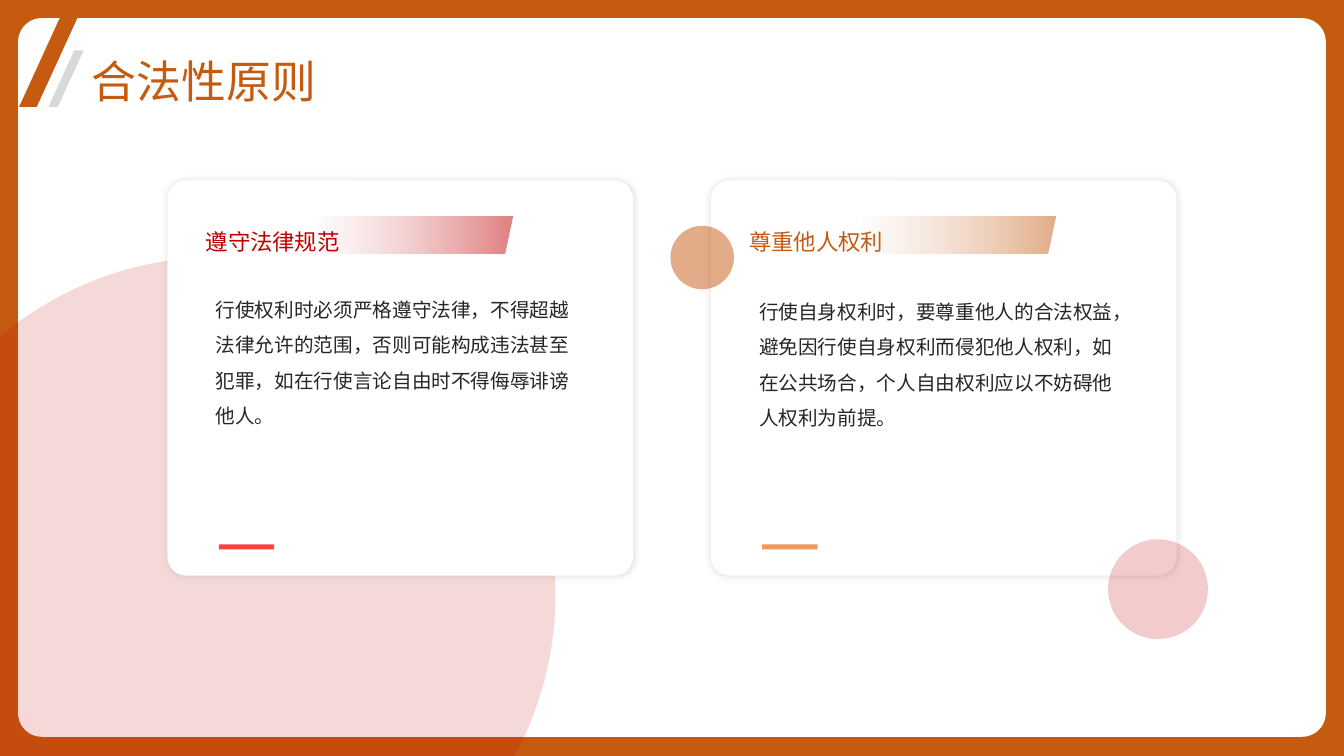
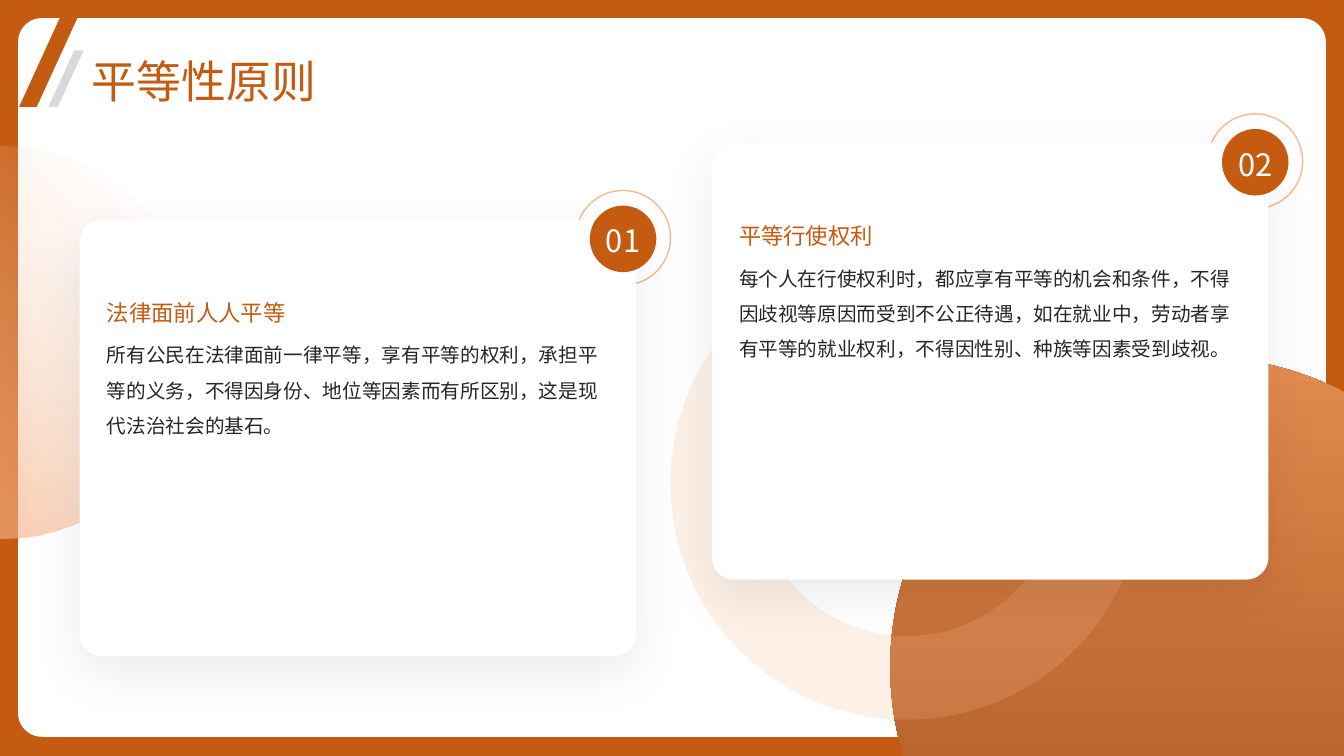
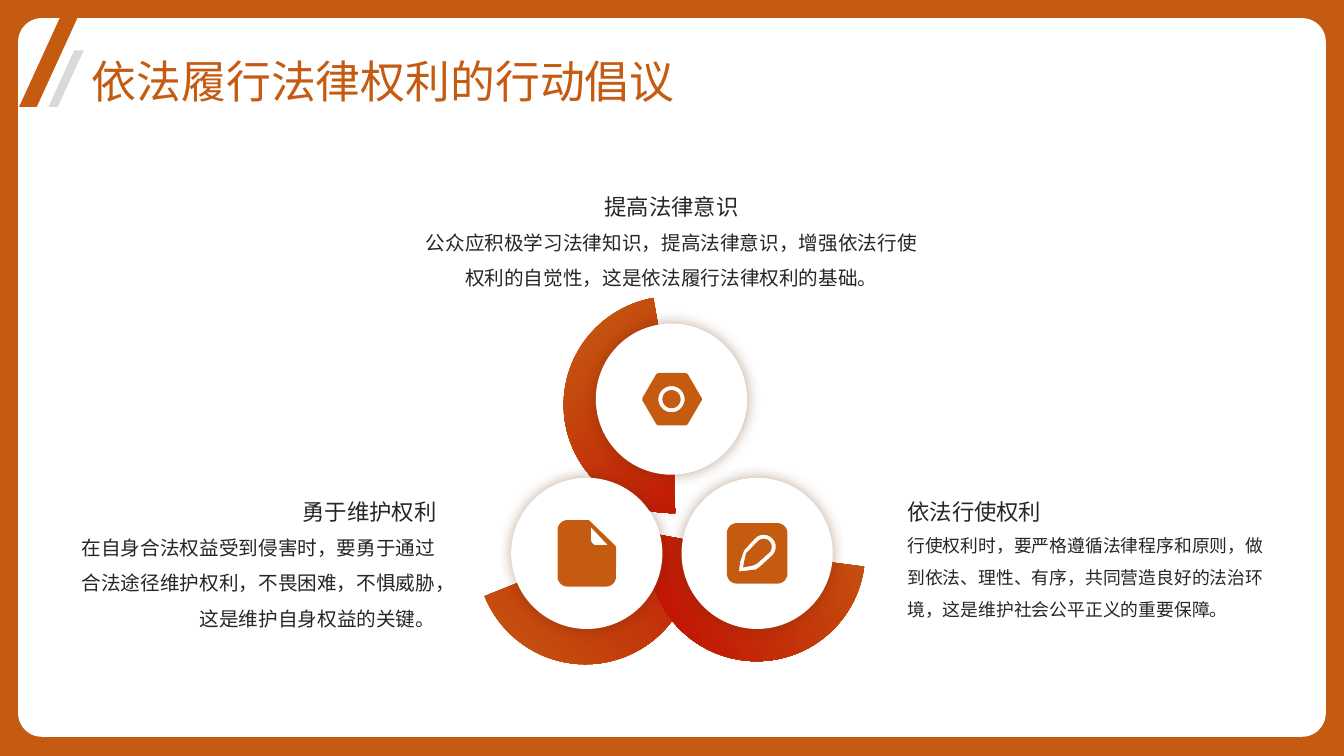
from dataclasses import dataclass
from math import cos, radians, sin

from lxml import etree
from pptx import Presentation
from pptx.dml.color import RGBColor
from pptx.enum import shapes, text
from pptx.oxml.ns import qn
from pptx.util import Inches, Pt

KIND = shapes.MSO_SHAPE
ALIGN = text.PP_ALIGN
ANCHOR = text.MSO_ANCHOR


@dataclass(frozen=True)
class Theme:
    font: str = "Noto Sans CJK SC"
    accent: str = "C55A11"
    red: str = "C00000"
    bright_red: str = "FF4040"
    orange: str = "F1985C"
    peach: str = "F6BA92"
    pale: str = "FADDC9"
    brown: str = "94430D"
    white: str = "FFFFFF"
    grey: str = "D9D9D9"
    ink: str = "262626"
    title_size: float = 32
    number_size: float = 22
    heading_size: float = 16
    body_size: float = 14
    small_size: float = 12.7


THEME = Theme()
SOFT_SHADOW = ("A6A6A6", 40, 5, 0, 0)
DROP_SHADOW = ("000000", 8, 37, 12, 90)
DISC_SHADOW = ("622D08", 40, 10, 0, 0)


def add_color(parent, color, alpha=None):
    node = etree.SubElement(parent, qn("a:srgbClr"), val=color)
    if alpha is not None:
        etree.SubElement(node, qn("a:alpha"), val=str(alpha * 1000))


def paint(shape, color, alpha=None):
    shape.shadow.inherit = False
    shape.line.fill.background()
    shape.fill.solid()
    shape.fill.fore_color.rgb = RGBColor.from_string(color)
    if alpha is not None:
        node = shape.element.spPr.find(qn("a:solidFill")).find(qn("a:srgbClr"))
        etree.SubElement(node, qn("a:alpha"), val=str(alpha * 1000))


def paint_gradient(shape, stops, angle):
    shape.shadow.inherit = False
    shape.line.fill.background()
    shape.fill.background()
    properties = shape.element.spPr
    gradient = etree.Element(qn("a:gradFill"), rotWithShape="1")
    stop_list = etree.SubElement(gradient, qn("a:gsLst"))
    for position, *color in stops:
        stop = etree.SubElement(stop_list, qn("a:gs"), pos=str(position * 1000))
        add_color(stop, *color)
    etree.SubElement(gradient, qn("a:lin"), ang=str(angle * 60000), scaled="0")
    properties.replace(properties.find(qn("a:noFill")), gradient)


def cast_shadow(shape, color, alpha, blur, distance, direction):
    effects = shape.element.spPr.find(qn("a:effectLst"))
    shadow = etree.SubElement(
        effects, qn("a:outerShdw"), blurRad=str(Pt(blur)), dist=str(Pt(distance)),
        dir=str(direction * 60000), algn="ctr", rotWithShape="0")
    add_color(shadow, color, alpha)


def add_preset(page, kind, at, adjust=(), turn=0):
    shape = page.shapes.add_shape(kind, *map(Inches, at))
    for index, value in enumerate(adjust):
        shape.adjustments[index] = value
    shape.rotation = turn
    return shape


def add_solid(page, kind, at, color, alpha=None, adjust=(), turn=0, shadow=None):
    shape = add_preset(page, kind, at, adjust, turn)
    paint(shape, color, alpha)
    if shadow:
        cast_shadow(shape, *shadow)
    return shape


def add_ring(page, at):
    ring = add_preset(page, KIND.OVAL, at)
    ring.shadow.inherit = False
    ring.fill.background()
    ring.line.color.rgb = RGBColor.from_string(THEME.peach)
    ring.line.width = Pt(1)


def arc(x, y, radius, start, end, steps=16):
    angles = [radians(start + (end - start) * i / steps) for i in range(steps + 1)]
    return [(x + radius * cos(a), y + radius * sin(a)) for a in angles]


def add_outline(page, contours, color, alpha=None):
    contours = [[(Inches(x), Inches(y)) for x, y in points] for points in contours]
    builder = page.shapes.build_freeform(*contours[0][0])
    for index, points in enumerate(contours):
        if index:
            builder.move_to(*points[0])
        builder.add_line_segments(points[1:], close=True)
    paint(builder.convert_to_shape(), color, alpha)


def style_text(frame, size, color, spacing, align, anchor, inset=(0, 0)):
    frame.word_wrap = True
    frame.auto_size = text.MSO_AUTO_SIZE.NONE
    frame.vertical_anchor = anchor
    frame.margin_left = frame.margin_right = Inches(inset[0])
    frame.margin_top = frame.margin_bottom = Inches(inset[1])
    for para in frame.paragraphs:
        para.alignment = align
        para.line_spacing = spacing
        for span in para.runs:
            span.font.size = Pt(size)
            span.font.color.rgb = RGBColor.from_string(color)
            span.font.name = THEME.font
            properties = span._r.get_or_add_rPr()
            properties.set("lang", "zh-CN")
            etree.SubElement(properties, qn("a:ea"), typeface=THEME.font)


def add_text(page, at, content, size, color=THEME.ink, spacing=1.5,
             align=ALIGN.LEFT, anchor=ANCHOR.TOP, inset=(0, 0)):
    box = page.shapes.add_textbox(*map(Inches, at))
    box.text_frame.text = content
    style_text(box.text_frame, size, color, spacing, align, anchor, inset)


def prepare_layout(deck):
    layout = deck.slide_layouts.get_by_name("Title Only")
    layout.background.fill.solid()
    layout.background.fill.fore_color.rgb = RGBColor.from_string(THEME.accent)
    for holder in list(layout.placeholders):
        if holder.placeholder_format.type == shapes.PP_PLACEHOLDER.TITLE:
            holder.left, holder.top = Inches(0.91), Inches(0.52)
            holder.width, holder.height = Inches(11.68), Inches(0.51)
        else:
            holder.element.getparent().remove(holder.element)
    return layout


def move_frame_to_layout(page, layout):
    frame = [
        add_solid(page, KIND.ROUNDED_RECTANGLE, (0.18, 0.18, 12.97, 7.13),
                  THEME.white, adjust=[0.033]),
        add_solid(page, KIND.PARALLELOGRAM, (0.19, 0, 0.66, 1.06),
                  THEME.accent, adjust=[0.735]),
        add_solid(page, KIND.PARALLELOGRAM, (0.48, 0.5, 0.35, 0.56),
                  THEME.grey, adjust=[0.735]),
    ]
    for shape in frame:
        layout.shapes.element.append(shape.element)


def add_page(deck, layout, title):
    page = deck.slides.add_slide(layout)
    frame = page.shapes.title.text_frame
    frame.text = title
    style_text(frame, THEME.title_size, THEME.accent, 1.1, ALIGN.LEFT, ANCHOR.MIDDLE)
    return page


def add_ribbon_card(page, left, heading, body, body_top, color, mark):
    add_solid(page, KIND.ROUNDED_RECTANGLE, (left, 1.79, 4.62, 3.92),
              THEME.white, adjust=[0.047], shadow=SOFT_SHADOW)
    ribbon = add_preset(page, KIND.PARALLELOGRAM, (left + 1.43, 2.15, 1.99, 0.37), [0.216])
    paint_gradient(ribbon, [(0, color, 50), (100, THEME.white, 30)], 180)
    add_text(page, (left + 0.38, 1.94, 3.89, 0.59), heading, THEME.heading_size,
             color, 1.3, anchor=ANCHOR.BOTTOM)
    add_text(page, (left + 0.38, body_top, 3.89, 2.29), body, THEME.body_size,
             inset=(0.1, 0.05))
    add_solid(page, KIND.RECTANGLE, (left + 0.51, 5.4, 0.55, 0.05), mark)


def add_numbered_card(page, left, top, number, heading, body):
    add_ring(page, (left + 4.92, top - 0.29, 0.94, 0.94))
    add_solid(page, KIND.ROUNDED_RECTANGLE, (left, top, 5.52, 4.33),
              THEME.white, adjust=[0.051], shadow=DROP_SHADOW)
    add_text(page, (left + 0.27, top + 0.16, 4.74, 0.89), heading,
             THEME.heading_size, THEME.accent, 1.3, anchor=ANCHOR.BOTTOM)
    add_text(page, (left + 0.27, top + 1.11, 4.92, 2.92), body, THEME.body_size)
    add_solid(page, KIND.OVAL, (left + 5.06, top - 0.14, 0.66, 0.66), THEME.accent)
    add_text(page, (left + 5.01, top - 0.11, 0.76, 0.5), number, THEME.number_size,
             THEME.white, 1.3, ALIGN.CENTER, ANCHOR.BOTTOM)


def add_arc_band(page, left, top, turn, adjust, stops, angle, flip=False):
    start, end, thickness = adjust
    band = add_preset(page, KIND.BLOCK_ARC, (left, top, 2.15, 2.15),
                      [start * 0.6, end * 0.6, thickness], turn)
    if flip:
        band.element.spPr.xfrm.set("flipH", "1")
    first, last = stops
    paint_gradient(band, [(first, THEME.accent), (last, THEME.red)], angle)


def add_document_icon(page):
    sheet = (arc(5.63, 5.26, 0.1, 180, 270) + [(5.84, 5.16), (6.1, 5.41), (6.11, 5.43)]
             + arc(6.01, 5.72, 0.1, 0, 90) + arc(5.63, 5.72, 0.1, 90, 180))
    fold = [(5.86, 5.23)] + arc(5.92, 5.35, 0.06, 180, 90) + [(6.03, 5.41)]
    add_outline(page, [sheet, fold], THEME.accent)


def add_pen_icon(page):
    corners = [(7.31, 5.29, 180), (7.71, 5.29, 270), (7.71, 5.69, 0), (7.31, 5.69, 90)]
    tile = [point for x, y, start in corners
            for point in arc(x, y, 0.1, start, start + 90)]
    outer = arc(7.575, 5.425, 0.12, 225, 405) + [
        (7.54, 5.62), (7.5, 5.65), (7.42, 5.66), (7.33, 5.67), (7.34, 5.58), (7.38, 5.46)]
    inner = arc(7.575, 5.425, 0.08, 225, 405) + [
        (7.51, 5.59), (7.47, 5.61), (7.37, 5.63), (7.39, 5.53), (7.4, 5.49)]
    add_outline(page, [tile, outer, inner], THEME.accent)


def add_nut_icon(page):
    nut = [(6.53, 3.7), (6.8, 3.7), (6.82, 3.71), (6.96, 3.95), (6.96, 3.97), (6.82, 4.21),
           (6.8, 4.22), (6.53, 4.22), (6.51, 4.21), (6.37, 3.97), (6.37, 3.95), (6.51, 3.71)]
    rings = [arc(6.66, 3.96, radius, 0, 360, 48) for radius in (0.13, 0.09)]
    add_outline(page, [nut, *rings], THEME.accent)


def build_legality(page):
    backdrop = arc(2.16, 5.9, 3.35, -130.3, 28.6, 90) + [(5.1, 7.5), (0, 7.5)]
    add_outline(page, [backdrop], THEME.red, 15)
    add_ribbon_card(
        page, 1.66, "遵守法律规范",
        "行使权利时必须严格遵守法律，不得超越法律允许的范围，否则可能构成违法甚至犯罪，"
        "如在行使言论自由时不得侮辱诽谤他人。", 2.79, THEME.red, THEME.bright_red)
    add_ribbon_card(
        page, 7.05, "尊重他人权利",
        "行使自身权利时，要尊重他人的合法权益，避免因行使自身权利而侵犯他人权利，"
        "如在公共场合，个人自由权利应以不妨碍他人权利为前提。", 2.81, THEME.accent, THEME.orange)
    add_solid(page, KIND.OVAL, (6.65, 2.24, 0.63, 0.63), THEME.accent, 50)
    add_solid(page, KIND.OVAL, (10.99, 5.35, 0.99, 0.99), THEME.red, 20)


def build_equality(page):
    glow = add_preset(page, KIND.OVAL, (-1.94, 1.45, 3.89, 3.89), turn=275.2)
    paint_gradient(glow, [(0, THEME.orange), (86, THEME.pale, 0)], 45)
    globe = add_preset(page, KIND.OVAL, (8.83, 3.54, 6.15, 6.15), turn=225)
    paint_gradient(globe, [(0, THEME.brown), (100, THEME.orange)], 45)
    add_solid(page, KIND.DONUT, (6.65, 2.45, 4.69, 4.69), THEME.peach, 21, [0.177], 225)
    add_numbered_card(
        page, 0.79, 2.18, "01", "法律面前人人平等",
        "所有公民在法律面前一律平等，享有平等的权利，承担平等的义务，"
        "不得因身份、地位等因素而有所区别，这是现代法治社会的基石。")
    add_numbered_card(
        page, 7.06, 1.42, "02", "平等行使权利",
        "每个人在行使权利时，都应享有平等的机会和条件，不得因歧视等原因而受到不公正待遇，"
        "如在就业中，劳动者享有平等的就业权利，不得因性别、种族等因素受到歧视。")


def build_initiative(page):
    add_arc_band(page, 4.73, 4.44, 315, (37.81, 203.217, 0.187), (13, 100), 0)
    add_arc_band(page, 5.59, 2.94, 45, (43.34, 215.094, 0.186), (19, 87), 0)
    add_arc_band(page, 6.43, 4.41, 21.7, (11.202, 194.414, 0.164), (13, 100), 45, True)
    for left, top in [(6.76, 4.74), (5.07, 4.74), (5.91, 3.21)]:
        add_solid(page, KIND.OVAL, (left, top, 1.5, 1.5), THEME.white, shadow=DISC_SHADOW)
    add_document_icon(page)
    add_pen_icon(page)
    add_nut_icon(page)
    calls = [
        ((4.15, 1.64, 5.02, 0.54), "提高法律意识", (4.15, 2.17, 5.02, 0.72),
         "公众应积极学习法律知识，提高法律意识，增强依法行使权利的自觉性，"
         "这是依法履行法律权利的基础。", THEME.body_size, ALIGN.CENTER),
        ((9, 4.67, 3.6, 0.54), "依法行使权利", (9, 5.2, 3.6, 1.05),
         "行使权利时，要严格遵循法律程序和原则，做到依法、理性、有序，"
         "共同营造良好的法治环境，这是维护社会公平正义的重要保障。", THEME.small_size, ALIGN.LEFT),
        ((0.77, 4.67, 3.56, 0.54), "勇于维护权利", (0.72, 5.2, 3.6, 1.05),
         "在自身合法权益受到侵害时，要勇于通过合法途径维护权利，不畏困难，不惧威胁，"
         "这是维护自身权益的关键。", THEME.body_size, ALIGN.RIGHT),
    ]
    for heading_at, heading, body_at, body, size, align in calls:
        add_text(page, heading_at, heading, THEME.heading_size, align=align,
                 anchor=ANCHOR.BOTTOM)
        add_text(page, body_at, body, size, align=align)


def main():
    deck = Presentation()
    deck.slide_width, deck.slide_height = Inches(13.33), Inches(7.5)
    layout = prepare_layout(deck)
    sections = [
        ("合法性原则", build_legality),
        ("平等性原则", build_equality),
        ("依法履行法律权利的行动倡议", build_initiative),
    ]
    pages = [add_page(deck, layout, title) for title, _ in sections]
    move_frame_to_layout(pages[0], layout)
    for page, (_, build) in zip(pages, sections):
        build(page)
    deck.save("out.pptx")


if __name__ == "__main__":
    main()
